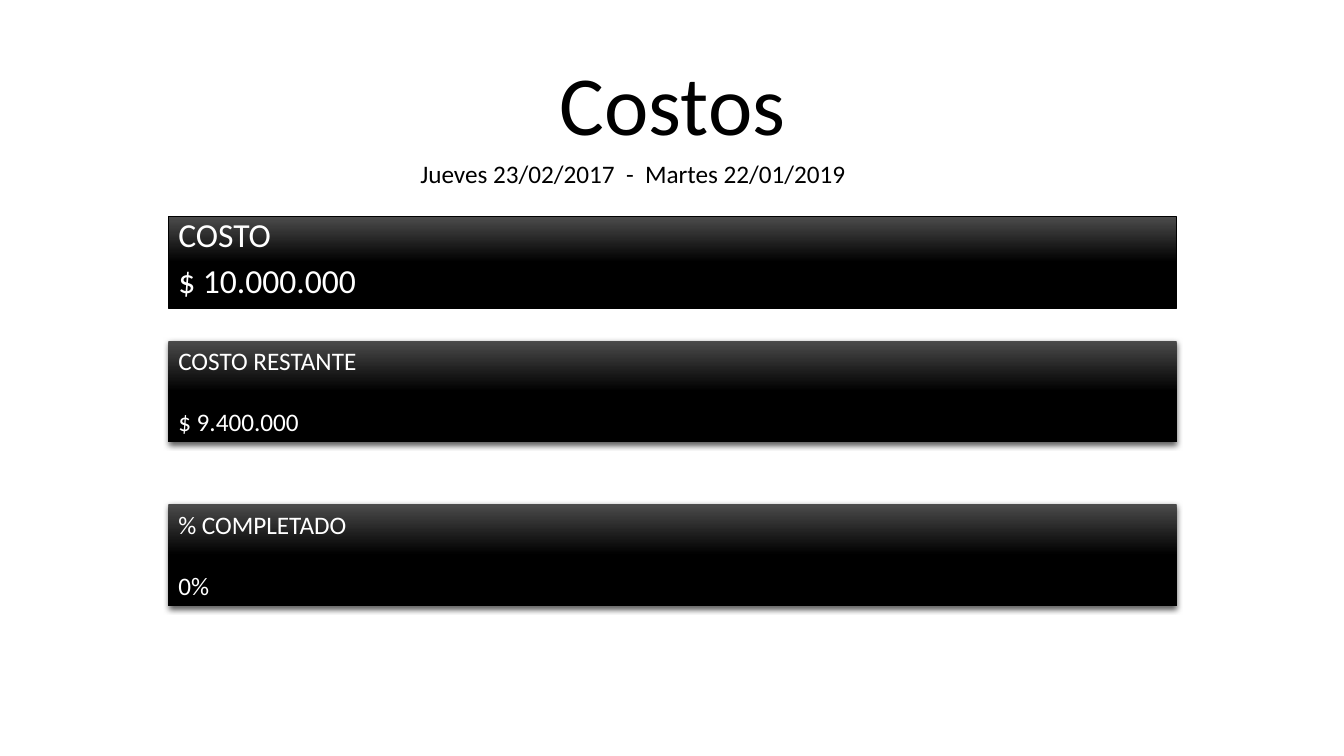
from lxml import etree
from pptx import Presentation
from pptx.dml.color import RGBColor
from pptx.enum.shapes import MSO_SHAPE
from pptx.enum.text import MSO_ANCHOR, PP_ALIGN
from pptx.oxml.ns import qn
from pptx.util import Inches, Pt

BLACK = RGBColor(0x00, 0x00, 0x00)
GRAY = RGBColor(0x4B, 0x4B, 0x4B)
WHITE = RGBColor(0xFF, 0xFF, 0xFF)
FONT = "Calibri"
LEFT, WIDTH = 1.67, 10


def write_lines(tf, lines, size, color, align=PP_ALIGN.LEFT, spacing=None, gap=None):
    """Write one paragraph per line, with a gap in points before each later one."""
    tf.word_wrap = True
    for i, text in enumerate(lines):
        p = tf.paragraphs[0] if i == 0 else tf.add_paragraph()
        p.alignment = align
        p.line_spacing = spacing
        if i and gap:
            p.space_before = Pt(gap)
        r = p.add_run()
        r.text = text
        r.font.name, r.font.size, r.font.color.rgb = FONT, Pt(size), color


def add_text(slide, box, text, size, anchor=MSO_ANCHOR.TOP, **style):
    """Add a one-line black text box."""
    sp = slide.shapes.add_textbox(*map(Inches, box))
    sp.text_frame.vertical_anchor = anchor
    write_lines(sp.text_frame, [text], size, BLACK, **style)


def add_shadow(sp):
    """Give a shape a soft shadow straight below it."""
    effects = sp._element.spPr.find(qn("a:effectLst"))
    shadow = etree.SubElement(effects, qn("a:outerShdw"), blurRad=str(Pt(4.5)),
                              dist=str(Pt(1.5)), dir="5400000", algn="ctr",
                              rotWithShape="0")
    color = etree.SubElement(shadow, qn("a:srgbClr"), val=str(BLACK))
    etree.SubElement(color, qn("a:alpha"), val="63000")


def add_band(slide, top, height, lines, size, outlined=False, **style):
    """Add a full-width gradient band, either outlined or shadowed."""
    sp = slide.shapes.add_shape(MSO_SHAPE.RECTANGLE,
                                *map(Inches, (LEFT, top, WIDTH, height)))
    sp.shadow.inherit = False
    sp.fill.gradient()
    sp.fill.gradient_angle = 270
    for stop, position, color in zip(sp.fill.gradient_stops, (0, 0.5), (GRAY, BLACK)):
        stop.position, stop.color.rgb = position, color
    if outlined:
        sp.line.color.rgb, sp.line.width = BLACK, Pt(0.5)
    else:
        sp.line.fill.background()
        add_shadow(sp)
    sp.text_frame.vertical_anchor = MSO_ANCHOR.TOP
    write_lines(sp.text_frame, lines, size, WHITE, **style)


def main():
    """Build the cost slide."""
    prs = Presentation()
    prs.slide_width, prs.slide_height = Inches(13.33), Inches(7.5)
    s = prs.slides.add_slide(prs.slide_layouts[6])

    add_text(s, (LEFT, 0.48, WIDTH, 1.09), "Costos", 60, MSO_ANCHOR.BOTTOM,
             align=PP_ALIGN.CENTER, spacing=0.9)
    add_band(s, 2.15, 0.91, ["COSTO", "$ 10.000.000"], 24, outlined=True,
             spacing=0.8, gap=10)
    add_text(s, (4.07, 1.52, 5.85, 0.4), "Jueves 23/02/2017  -  Martes 22/01/2019", 18)
    for top, lines in ((5, ["% COMPLETADO", "0%"]),
                       (3.38, ["COSTO RESTANTE", "$ 9.400.000"])):
        add_band(s, top, 1.01, lines, 18, gap=22)

    prs.save("out.pptx")


main()
